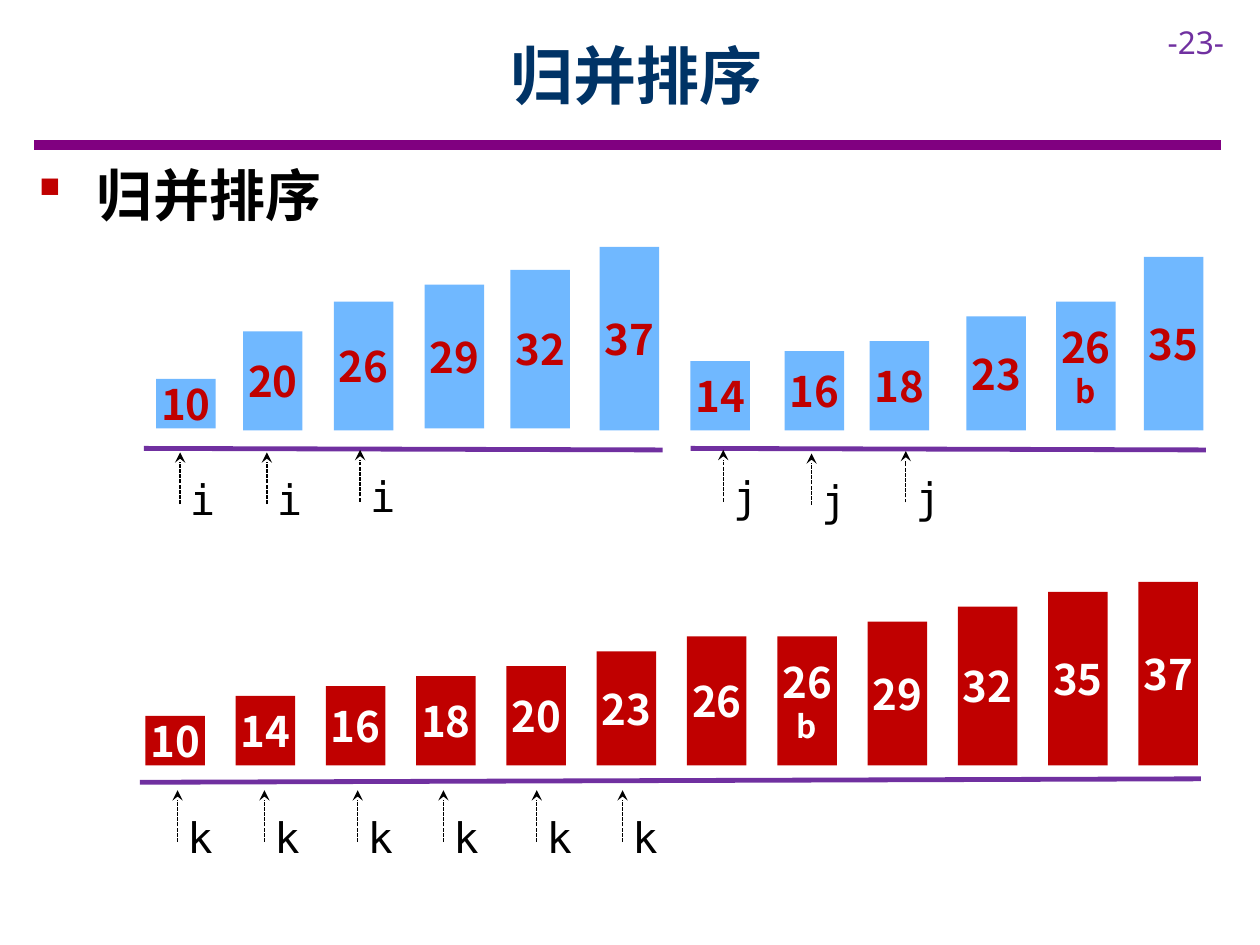
from dataclasses import dataclass

from lxml.etree import SubElement
from pptx import Presentation
from pptx.dml.color import RGBColor
from pptx.enum.dml import MSO_LINE
from pptx.enum.shapes import MSO_CONNECTOR, MSO_SHAPE
from pptx.enum.text import MSO_ANCHOR, MSO_AUTO_SIZE, PP_ALIGN
from pptx.oxml.ns import qn
from pptx.util import Cm, Pt

COLORS = {
    "rule": "800080",
    "axis": "7030A0",
    "title": "003366",
    "text": "000000",
    "input": "70B8FF",
    "accent": "C00000",
    "white": "FFFFFF",
}
CJK = "Noto Sans CJK SC"
SANS = "Noto Sans"
MONO = "DejaVu Sans Mono"
BAR_WIDTH = 1.2
CM_PER_UNIT = 0.1
ARROW_LENGTH = 1.04


@dataclass
class Bar:
    left: float
    bottom: float
    value: int
    suffix: str = ""


@dataclass
class Line:
    x1: float
    y1: float
    x2: float
    y2: float
    color: str
    width: float


@dataclass
class Pointer:
    label: str
    x: float
    tip: float


def rgb(name: str) -> RGBColor:
    return RGBColor.from_string(COLORS[name])


def format_text(p, font: str, size: float, color: str, bold: bool = False) -> None:
    for r in p.runs:
        r.font.name = font
        r.font.size = Pt(size)
        r.font.bold = bold
        r.font.color.rgb = rgb(color)
        SubElement(r.font._element, qn("a:ea")).set("typeface", font)


def add_line(shapes, line: Line):
    cxn = shapes.add_connector(MSO_CONNECTOR.STRAIGHT, Cm(line.x1), Cm(line.y1),
                               Cm(line.x2), Cm(line.y2))
    cxn.line.color.rgb = rgb(line.color)
    cxn.line.width = Pt(line.width)
    SubElement(cxn._element.spPr, qn("a:effectLst"))
    return cxn


def add_text(shapes, text: str, left: float, top: float, width: float, height: float,
             wrap: bool = True):
    tf = shapes.add_textbox(Cm(left), Cm(top), Cm(width), Cm(height)).text_frame
    tf.word_wrap = wrap
    tf.auto_size = MSO_AUTO_SIZE.SHAPE_TO_FIT_TEXT
    tf.text = text
    return tf.paragraphs[0]


def add_bar(shapes, bar: Bar, fill: str, color: str) -> None:
    height = bar.value * CM_PER_UNIT
    sp = shapes.add_shape(MSO_SHAPE.RECTANGLE, Cm(bar.left), Cm(bar.bottom - height),
                          Cm(BAR_WIDTH), Cm(height))
    sp.shadow.inherit = False
    sp.fill.solid()
    sp.fill.fore_color.rgb = rgb(fill)
    sp.line.fill.background()
    tf = sp.text_frame
    tf.margin_left = tf.margin_right = 0
    tf.margin_top = tf.margin_bottom = Cm(0.25)
    tf.vertical_anchor = MSO_ANCHOR.MIDDLE
    tf.text = f"{bar.value}\n{bar.suffix}" if bar.suffix else str(bar.value)
    for p, size in zip(tf.paragraphs, (24, 18)):
        p.alignment = PP_ALIGN.CENTER
        format_text(p, CJK, size, color, True)


def add_pointer(shapes, pointer: Pointer) -> None:
    group = shapes.add_group_shape().shapes
    p = add_text(group, pointer.label, pointer.x - 0.05, pointer.tip + 0.3, 1, 1.27, False)
    format_text(p, MONO, 24, "text")
    arrow = add_line(group, Line(pointer.x, pointer.tip + ARROW_LENGTH,
                                 pointer.x, pointer.tip, "text", 0.75))
    arrow.line.dash_style = MSO_LINE.SQUARE_DOT
    SubElement(arrow.line._get_or_add_ln(), qn("a:tailEnd")).set("type", "stealth")


prs = Presentation()
prs.slide_width, prs.slide_height = Cm(25.4), Cm(19.05)
s = prs.slides.add_slide(prs.slide_layouts[5])
shapes = s.shapes

title = shapes.title
title.left, title.top, title.width, title.height = Cm(2.29), Cm(0.23), Cm(21.1), Cm(2.54)
title.text_frame.text = "归并排序"
title.text_frame.vertical_anchor = MSO_ANCHOR.MIDDLE
p = title.text_frame.paragraphs[0]
p.alignment = PP_ALIGN.CENTER
format_text(p, CJK, 36, "title", True)

p = add_text(shapes, "-23-", 23.29, 0.33, 2.11, 1.02)
format_text(p, SANS, 18, "axis")

p = add_text(shapes, " 归并排序", 0.5, 3.12, 24, 1.63)
p.space_after = Pt(6)
format_text(p, CJK, 32, "text", True)
pPr = p._p.get_or_add_pPr()
pPr.set("marL", str(Cm(0.95)))
pPr.set("indent", str(Cm(-0.95)))
SubElement(SubElement(pPr, qn("a:buClr")), qn("a:srgbClr")).set("val", COLORS["accent"])
SubElement(pPr, qn("a:buFont")).set("typeface", "Wingdings")
SubElement(pPr, qn("a:buChar")).set("char", "§")

for line in (
    Line(0.69, 2.92, 24.61, 2.92, "rule", 6),
    Line(2.9, 9.04, 13.36, 9.07, "axis", 2.75),
    Line(13.92, 9.04, 24.31, 9.07, "axis", 2.75),
    Line(2.82, 15.77, 24.21, 15.7, "axis", 2.75),
):
    add_line(shapes, line)

input_bars = [
    Bar(3.15, 8.64, 10), Bar(4.9, 8.68, 20), Bar(6.73, 8.68, 26),
    Bar(8.56, 8.64, 29), Bar(10.29, 8.64, 32), Bar(12.09, 8.68, 37),
    Bar(13.92, 8.68, 14), Bar(15.82, 8.68, 16), Bar(17.53, 8.68, 18),
    Bar(19.48, 8.68, 23), Bar(21.29, 8.68, 26, "b"), Bar(23.06, 8.68, 35),
]
for bar in input_bars:
    add_bar(shapes, bar, "input", "accent")

merged = sorted(input_bars, key=lambda bar: (bar.value, bar.suffix))
for i, bar in enumerate(merged):
    add_bar(shapes, Bar(2.93 + 1.82 * i, 15.43, bar.value, bar.suffix), "accent", "white")

pointers = [
    Pointer("i", 3.63, 9.12), Pointer("i", 5.38, 9.12), Pointer("i", 7.26, 9.07),
    Pointer("j", 14.58, 9.07), Pointer("j", 16.36, 9.14), Pointer("j", 18.26, 9.09),
    *(Pointer("k", x, 15.93) for x in (3.58, 5.33, 7.21, 8.94, 10.82, 12.55)),
]
for pointer in pointers:
    add_pointer(shapes, pointer)

prs.save("out.pptx")
